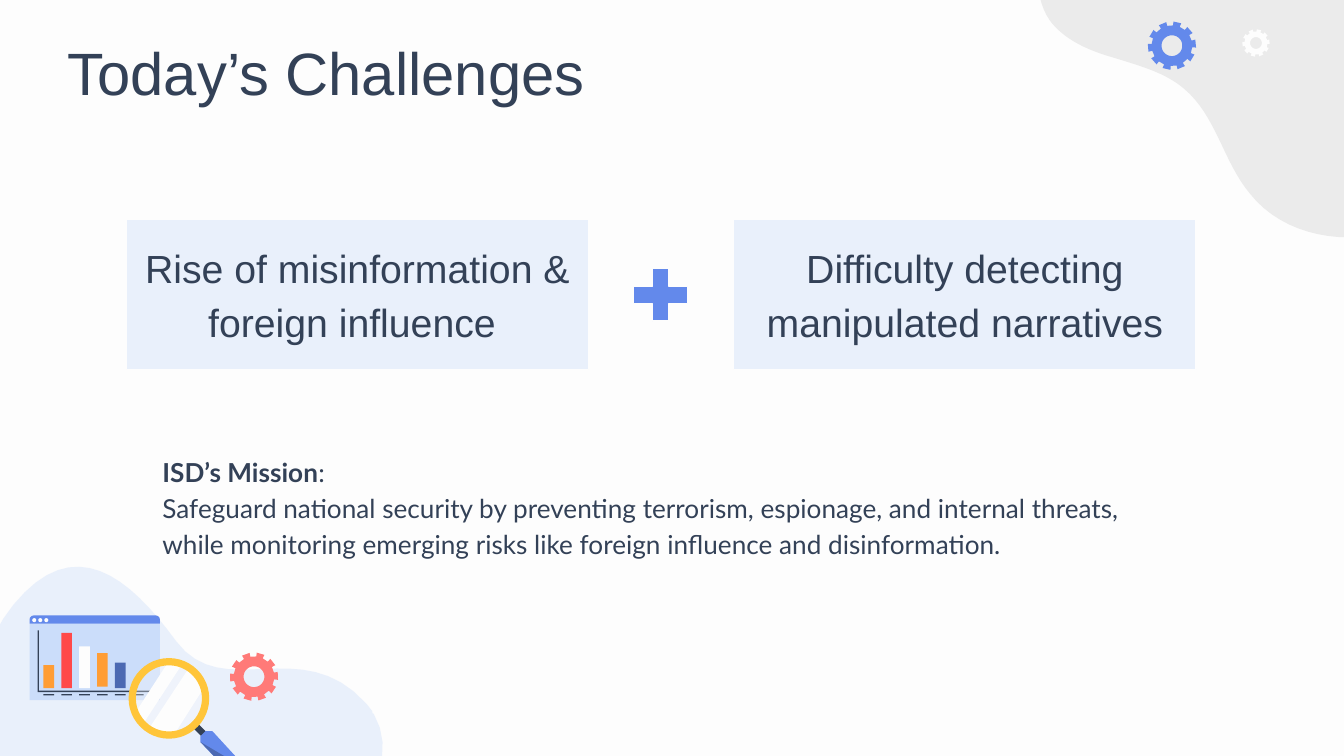
"""Build the "Today's Challenges" slide on a grid of 100 columns by 56.25 rows."""
from dataclasses import dataclass
from math import cos, radians, sin
from typing import NamedTuple

from lxml import etree
from pptx import Presentation
from pptx.dml.color import RGBColor
from pptx.enum.shapes import MSO_SHAPE
from pptx.enum.text import MSO_ANCHOR, PP_ALIGN
from pptx.oxml.ns import qn
from pptx.util import Inches, Pt

RECT, OVAL, DONUT = MSO_SHAPE.RECTANGLE, MSO_SHAPE.OVAL, MSO_SHAPE.DONUT
PLUS, TAB = MSO_SHAPE.MATH_PLUS, MSO_SHAPE.ROUND_2_SAME_RECTANGLE
TOP, BOTTOM = MSO_ANCHOR.TOP, MSO_ANCHOR.BOTTOM
LEFT, CENTER = PP_ALIGN.LEFT, PP_ALIGN.CENTER
COLS, ROWS = 100, 56.25
CELL = Inches(0.1)


@dataclass(frozen=True)
class Theme:
    """Colours, fonts and type sizes of the slide."""
    paper: str = "FDFDFD"
    ink: str = "334157"
    blue: str = "6389EB"
    navy: str = "4C69B2"
    sky: str = "CBDDFA"
    grey: str = "EBEBEB"
    orange: str = "FF9D35"
    red: str = "FF4949"
    coral: str = "FF7A78"
    yellow: str = "FFC53A"
    display: str = "Arial"
    text: str = "Lato"
    title_size: float = 32
    panel_size: float = 21
    body_size: float = 14


T = Theme()


class Box(NamedTuple):
    """Left, top, width and height in grid cells."""
    x: float
    y: float
    w: float
    h: float


class Gear(NamedTuple):
    """Centre, outer radius, turn in degrees and colour of a gear."""
    x: float
    y: float
    r: float
    turn: float
    color: str


class Bar(NamedTuple):
    """Top, height and colour of a bar in the small chart."""
    y: float
    h: float
    color: str


Point = tuple[float, float]

GEARS = (Gear(18.9, 50.35, 1.8, -2, T.coral), Gear(87.2, 3.4, 1.8, -5, T.blue),
         Gear(93.45, 3.2, 1.02, -5, T.paper))
BARS = (Bar(49.5, 1.7, T.orange), Bar(47.1, 4.1, T.red), Bar(48.1, 3.1, T.paper),
        Bar(48.6, 2.5, T.orange), Bar(49.3, 1.9, T.navy))
PANELS = ("Rise of misinformation & foreign influence ",
          "Difficulty detecting manipulated narratives")
MISSION = ("Safeguard national security by preventing terrorism, espionage, and internal "
           "threats, while monitoring emerging risks like foreign influence and disinformation.")
BLUE_BLOB = ((27.2, 52.3), (27.4, 52.5), (27.5, 52.7), (27.7, 52.9),
             (27.7, 53), (27.7, 53.1), (27.8, 53.1), (31, 58.5), (22.1, 66), (17.1, 71.4),
             (14.2, 74.5), (14.7, 74.3), (10.3, 80), (6.9, 84.5), (3.7, 84.2), (2.1, 82.5),
             (2, 82.5), (2, 82.4), (1.9, 82.3), (1.6, 81.9), (1.3, 81.4), (1.2, 80.8),
             (0.3, 77.9), (0.4, 76.6), (-7.2, 71.9), (-14.8, 67.3), (-11, 63.5), (-5.8, 60.6),
             (-0.6, 57.6), (-3.5, 50.5), (1, 45), (5.5, 39.5), (9.6, 42.9), (13.1, 47.7),
             (16.6, 52.4), (22.4, 47), (27.2, 52.3))
GREY_BLOB = ((111.3, -5.6), (113.5, -1.4), (113.7, 3.8), (112.1, 8.3),
             (110.7, 12.1), (107.9, 15.5), (104.1, 17), (100.3, 18.4), (95.5, 17.6), (93, 14.4),
             (91, 12), (90.5, 8.6), (88.1, 6.6), (86.7, 5.4), (84.8, 4.9), (82.9, 4.3),
             (81.1, 3.8), (79.2, 3), (78.1, 1.5), (76.7, -0.6), (77.1, -3.6), (78.6, -5.7),
             (80.1, -7.8), (82.4, -9.1), (84.8, -10.1), (91.4, -12.9), (100.3, -15.3),
             (106.7, -10.8), (108.6, -9.5), (110.2, -7.7), (111.3, -5.6))
AXES = ((11.2, 51.5), (2.8, 51.5), (2.8, 46.9), (2.9, 46.9), (2.9, 51.4), (11.2, 51.4))
NECK = ((15.2, 55), (15.6, 54.7), (14.7, 53.8), (14.3, 54.1))
HANDLE = ((14.9, 55.2), (14.9, 54.8), (15.3, 54.4), (15.8, 54.4), (18, 56.8),
          (18.1, 57.1), (17.7, 57.7), (17.2, 57.6))
HANDLE_SHADE = ((14.9, 55.2), (17.2, 57.6), (17.5, 57.7), (17.8, 57.5), (18.1, 57.1))
WIDE_GLINT = ((15.1, 51.3), (13, 54.6), (12.6, 54.6), (11.9, 54.5), (11.1, 54.2),
              (14, 49.8), (14.7, 50.4))
THIN_GLINT = ((13.5, 49.5), (10.7, 53.8), (10.4, 53.5), (10.1, 53), (12.5, 49.3), (13, 49.35))


def paint(sp, color: str, alpha: int = 100, outline: bool = False) -> None:
    """Fill a shape, with an optional thin outline."""
    sp.shadow.inherit = False
    sp.fill.solid()
    sp.fill.fore_color.rgb = RGBColor.from_string(color)
    if alpha < 100:
        clr = sp.fill._xPr.find(qn("a:solidFill"))[0]
        etree.SubElement(clr, qn("a:alpha")).set("val", str(alpha * 1000))
    if outline:
        sp.line.color.rgb = RGBColor.from_string(T.paper)
        sp.line.width = Pt(0.75)
    else:
        sp.line.fill.background()


def add_shape(s, kind, box: Box, color: str, adj: float | None = None, **style) -> None:
    """Draw a preset shape on the grid."""
    sp = s.shapes.add_shape(kind, *(round(v * CELL) for v in box))
    if adj is not None:
        sp.adjustments[0] = adj
    paint(sp, color, **style)


def add_outline(s, color: str, *contours, **style) -> None:
    """Draw one freeform from closed contours; later ones cut holes."""
    scaled = [[(x * CELL, y * CELL) for x, y in c] for c in contours]
    fb = s.shapes.build_freeform(*scaled[0][0])
    for i, points in enumerate(scaled):
        if i:
            fb.move_to(*points[0])
        fb.add_line_segments(points[1:], close=True)
    paint(fb.convert_to_shape(), color, **style)


def curve(points: tuple[Point, ...], steps: int = 16) -> list[Point]:
    """Sample a chain of cubic curves given as a start and triples."""
    out = [points[0]]
    for i in range(0, len(points) - 1, 3):
        for n in range(1, steps + 1):
            t = n / steps
            weights = ((1 - t) ** 3, 3 * t * (1 - t) ** 2, 3 * t * t * (1 - t), t ** 3)
            out.append(tuple(sum(w * p[k] for w, p in zip(weights, points[i:i + 4]))
                             for k in (0, 1)))
    return out


def add_gear(s, g: Gear, teeth: int = 10) -> None:
    """Draw a toothed wheel with a round hole."""
    def at(angle: float, share: float) -> Point:
        a = radians(angle + g.turn)
        return g.x + g.r * share * cos(a), g.y + g.r * share * sin(a)
    rim = [at(360 / teeth * i + a, share) for i in range(teeth)
           for a, share in ((-9.5, 0.84), (-9.5, 1), (9.5, 1), (9.5, 0.84))]
    add_outline(s, g.color, rim, [at(a, 0.43) for a in range(0, 360, 10)])


def add_text(s, box: Box, *paragraphs, size: float, font: str, align=LEFT,
             anchor=TOP, spacing: float = 1.0) -> None:
    """Write paragraphs, each a tuple of (text, bold) runs."""
    tf = s.shapes.add_textbox(*(round(v * CELL) for v in box)).text_frame
    tf.word_wrap, tf.vertical_anchor = True, anchor
    tf.margin_left = tf.margin_right = tf.margin_top = tf.margin_bottom = CELL
    for i, runs in enumerate(paragraphs):
        p = tf.add_paragraph() if i else tf.paragraphs[0]
        p.alignment, p.line_spacing = align, spacing
        for text, bold in runs:
            r = p.add_run()
            r.text = text
            r.font.name, r.font.size, r.font.bold = font, Pt(size), bold
            r.font.color.rgb = RGBColor.from_string(T.ink)


def add_dashboard(s) -> None:
    """Draw the browser window with its bar chart."""
    add_shape(s, RECT, Box(2.2, 46.4, 9.7, 5.7), T.sky)
    add_shape(s, TAB, Box(2.2, 45.8, 9.7, 0.6), T.blue, adj=0.5)
    for i in range(3):
        add_shape(s, OVAL, Box(2.4 + 0.45 * i, 46, 0.3, 0.3), T.paper)
    add_outline(s, T.ink, AXES)
    for i, bar in enumerate(BARS):
        add_shape(s, RECT, Box(3.23 + 1.33 * i, bar.y, 0.8, bar.h), bar.color)
    for i in range(len(BARS) + 1):
        add_shape(s, RECT, Box(3.23 + 1.33 * i, 51.65, 0.8, 0.1), T.ink)


def add_magnifier(s) -> None:
    """Draw the magnifying glass."""
    add_outline(s, T.ink, NECK)
    add_outline(s, T.blue, HANDLE)
    add_outline(s, T.navy, HANDLE_SHADE)
    add_shape(s, OVAL, Box(9.9, 49.3, 5.3, 5.3), T.paper, alpha=30)
    for glint in (WIDE_GLINT, THIN_GLINT):
        add_outline(s, T.paper, glint)
    add_shape(s, DONUT, Box(9.57, 48.97, 6, 6), T.yellow, adj=0.09)


def main() -> None:
    """Build and save the slide."""
    prs = Presentation()
    prs.slide_width, prs.slide_height = round(COLS * CELL), round(ROWS * CELL)
    s = prs.slides.add_slide(prs.slide_layouts[6])
    s.background.fill.solid()
    s.background.fill.fore_color.rgb = RGBColor.from_string(T.paper)
    add_outline(s, T.sky, curve(BLUE_BLOB), alpha=39)
    add_outline(s, T.grey, curve(GREY_BLOB))
    add_dashboard(s)
    add_magnifier(s)
    for gear in GEARS:
        add_gear(s, gear)
    add_text(s, Box(4.05, 1.7, 84.3, 6.3), (("Today’s Challenges", False),),
             size=T.title_size, font=T.display)
    for i, label in enumerate(PANELS):
        x = 9.4 + 45.2 * i
        add_shape(s, RECT, Box(x, 16.3, 34.4, 11.2), T.sky, alpha=39, outline=True)
        add_text(s, Box(x, 17.2, 34.4, 9.5), ((label, False),), size=T.panel_size,
                 font=T.display, align=CENTER, anchor=BOTTOM, spacing=1.15)
    add_text(s, Box(11.1, 32.6, 77.9, 9.8), (("ISD’s Mission", True), (":", False)),
             ((MISSION, False),), size=T.body_size, font=T.text, spacing=1.15)
    add_shape(s, PLUS, Box(46.4, 19.3, 5.5, 5.3), T.blue, adj=0.235, outline=True)
    prs.save("out.pptx")


if __name__ == "__main__":
    main()
